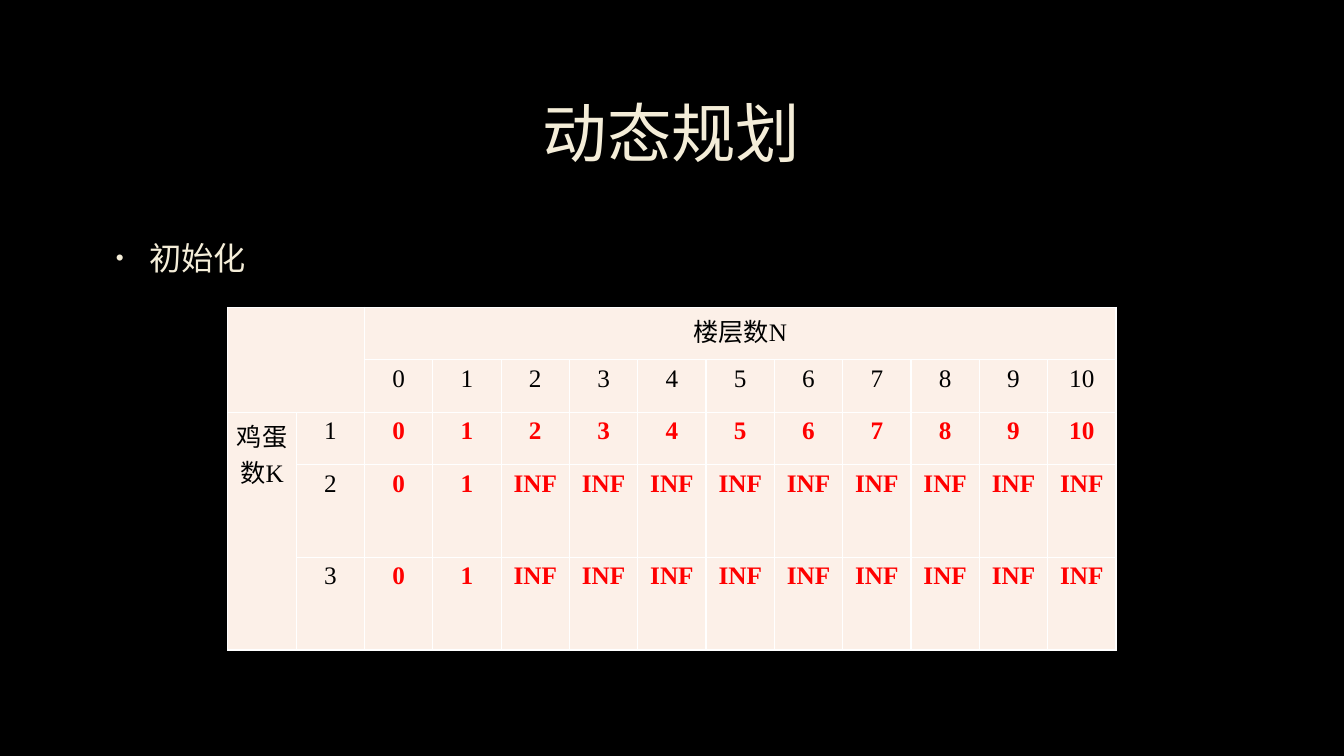
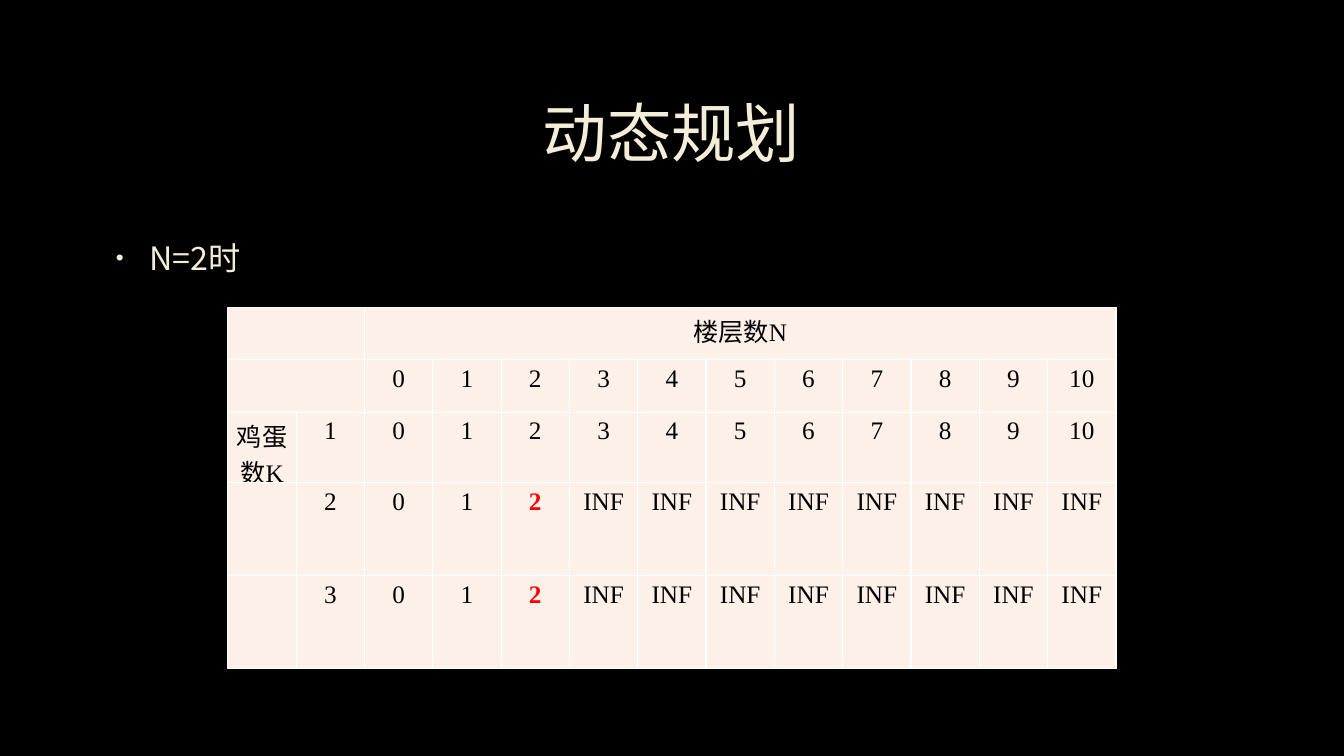
import pptx
import pptx.util
import pptx.dml.color
import pptx.enum.text
import pptx.oxml
import pptx.oxml.ns

Inches = pptx.util.Inches
Pt = pptx.util.Pt
RGBColor = pptx.dml.color.RGBColor
PP_ALIGN = pptx.enum.text.PP_ALIGN
MSO_ANCHOR = pptx.enum.text.MSO_ANCHOR

BLACK = RGBColor(0x00, 0x00, 0x00)
CREAM = RGBColor(0xF4, 0xED, 0xD8)
CELL_FILL = RGBColor(0xFC, 0xF0, 0xE8)
RED = RGBColor(0xFF, 0x00, 0x00)
OUTLINE = RGBColor(0x40, 0x40, 0x40)

HEADING_FONT = "Noto Sans CJK SC"
TABLE_FONT = "Times New Roman"

LEFT, WIDTH = Inches(1), Inches(11.32)
TABLE_LEFT, TABLE_TOP, TABLE_WIDTH = Inches(2.26), Inches(3.05), Inches(8.81)
ROW_HEIGHTS = [Inches(h) for h in (0.52, 0.52, 0.52, 0.92, 0.92)]

FLOORS = [str(n) for n in range(11)]
HEADER_ROWS = [["", "", "楼层数N"] + [""] * 10, ["", ""] + FLOORS]
ONE_EGG_ROW = ["鸡蛋数K", "1"] + FLOORS


def more_eggs_row(eggs, solved):
    """Row whose first `solved` floor counts are known and the rest INF."""
    return ["", eggs] + FLOORS[:solved] + ["INF"] * (len(FLOORS) - solved)


def style_run(run, size, color, latin, bold=False):
    run.font.size = Pt(size)
    run.font.bold = bold
    run.font.color.rgb = color
    run.font.name = latin
    east_asian = pptx.oxml.parse_xml(
        f'<a:ea {pptx.oxml.ns.nsdecls("a")} typeface="{HEADING_FONT}"/>')
    run.font._element.append(east_asian)


def style_heading(run, size):
    """Cream heading text with a faint outline."""
    style_run(run, size, CREAM, HEADING_FONT)
    outline = pptx.oxml.parse_xml(
        f'<a:ln {pptx.oxml.ns.nsdecls("a")} w="9525"><a:solidFill>'
        f'<a:srgbClr val="{OUTLINE}"><a:alpha val="10000"/></a:srgbClr>'
        '</a:solidFill></a:ln>')
    run.font._element.insert(0, outline)


def set_title(slide, text):
    title = slide.shapes.title
    title.left, title.top = LEFT, Inches(0.67)
    title.width, title.height = WIDTH, Inches(1.38)
    frame = title.text_frame
    frame.text = text
    frame.vertical_anchor = MSO_ANCHOR.MIDDLE
    paragraph = frame.paragraphs[0]
    paragraph.alignment = PP_ALIGN.CENTER
    paragraph.line_spacing = 0.9
    style_heading(paragraph.runs[0], 46)


def add_bullet(slide, text):
    frame = slide.shapes.add_textbox(LEFT, Inches(2.28), WIDTH, Inches(0.7)).text_frame
    frame.word_wrap = True
    paragraph = frame.paragraphs[0]
    paragraph.text = text
    paragraph.line_spacing = 1.1
    properties = paragraph._p.get_or_add_pPr()
    properties.set("marL", str(Inches(0.38)))
    properties.set("indent", str(Inches(-0.33)))
    namespace = pptx.oxml.ns.nsdecls("a")
    for bullet_part in (
            f'<a:buClr {namespace}><a:srgbClr val="{CREAM}"/></a:buClr>',
            f'<a:buSzPct {namespace} val="70000"/>',
            f'<a:buFont {namespace} typeface="Arial"/>',
            f'<a:buChar {namespace} char="•"/>'):
        properties.append(pptx.oxml.parse_xml(bullet_part))
    style_heading(paragraph.runs[0], 23)


def fill_cell(cell, text, highlighted):
    cell.fill.solid()
    cell.fill.fore_color.rgb = CELL_FILL
    cell.margin_left = cell.margin_right = Inches(0.07)
    cell.margin_top = cell.margin_bottom = Inches(0.05)
    if text:
        cell.text_frame.text = text
        paragraph = cell.text_frame.paragraphs[0]
        paragraph.alignment = PP_ALIGN.CENTER
        style_run(paragraph.runs[0], 18, RED if highlighted else BLACK,
                  TABLE_FONT, highlighted)


def add_egg_table(slide, egg_rows, highlights, merges):
    """Table of egg count by floor count; merges are (first, last) cell pairs."""
    rows = HEADER_ROWS + egg_rows
    columns = len(rows[0])
    table = slide.shapes.add_table(len(rows), columns, TABLE_LEFT, TABLE_TOP,
                                   TABLE_WIDTH, sum(ROW_HEIGHTS)).table
    table.first_row = table.horz_banding = False
    for column in table.columns:
        column.width = TABLE_WIDTH // columns
    for row, height in zip(table.rows, ROW_HEIGHTS):
        row.height = height
    for r, texts in enumerate(rows):
        for c, text in enumerate(texts):
            fill_cell(table.cell(r, c), text, (r, c) in highlights)
    for first, last in merges:
        table.cell(*first).merge(table.cell(*last))


def add_step(prs, step, egg_rows, highlights, merges):
    slide = prs.slides.add_slide(prs.slide_layouts.get_by_name("Title Only"))
    set_title(slide, "动态规划")
    add_bullet(slide, step)
    add_egg_table(slide, egg_rows, highlights, merges)


def main():
    prs = pptx.Presentation()
    prs.slide_width, prs.slide_height = Inches(13.33), Inches(7.5)
    background = prs.slide_master.background.fill
    background.solid()
    background.fore_color.rgb = BLACK

    floors_header = ((0, 2), (0, 12))
    add_step(prs, "初始化",
             [ONE_EGG_ROW, more_eggs_row("2", 2), more_eggs_row("3", 2)],
             {(r, c) for r in range(2, 5) for c in range(2, 13)},
             [floors_header, ((0, 0), (1, 1)), ((2, 0), (4, 0))])
    add_step(prs, "N=2时",
             [ONE_EGG_ROW, more_eggs_row("2", 3), more_eggs_row("3", 3)],
             {(3, 4), (4, 4)},
             [floors_header, ((0, 0), (0, 1)), ((1, 0), (1, 1))])
    prs.save("out.pptx")


if __name__ == "__main__":
    main()
